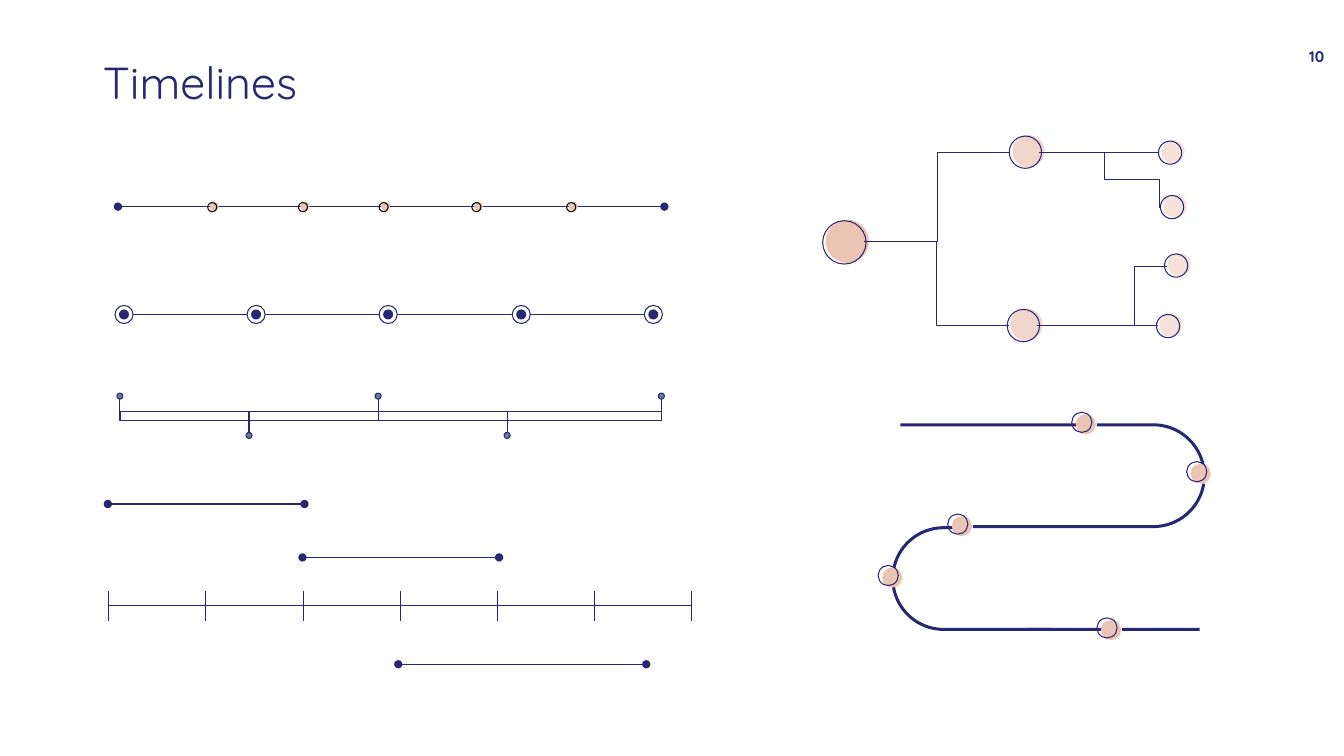
import math
from dataclasses import dataclass

from lxml import etree
from pptx import Presentation
from pptx import util as u
from pptx.dml.color import RGBColor
from pptx.enum import shapes, text
from pptx.oxml.ns import qn

PX = u.Inches(1) // 100  # 100 px to the inch


@dataclass(frozen=True)
class Theme:
    font: str = "Quicksand"
    navy: str = "272774"
    black: str = "000000"
    white: str = "FFFFFF"
    peach: str = "EBC4B4"
    pale_peach: str = "F5E2DA"
    slate: str = "667E92"
    title_size: int = 32
    number_size: int = 11
    line_width: float = 0.75


THEME = Theme()
OVAL = shapes.MSO_SHAPE.OVAL
RECTANGLE = shapes.MSO_SHAPE.RECTANGLE
STRAIGHT = shapes.MSO_CONNECTOR.STRAIGHT
ELBOW = shapes.MSO_CONNECTOR.ELBOW


def px(*lengths):
    return [u.Emu(round(length * PX)) for length in lengths]


def apply_formats(target, formats):
    for name, value in formats.items():
        setattr(target, name, value)


def set_text(shape, words, size, alignment, bold=False, spacing=1.0):
    frame = shape.text_frame
    apply_formats(frame, {"text": words, "word_wrap": True,
                          "vertical_anchor": text.MSO_ANCHOR.MIDDLE})
    paragraph = frame.paragraphs[0]
    apply_formats(paragraph, {"alignment": alignment, "line_spacing": spacing})
    font = paragraph.runs[0].font
    apply_formats(font, {"name": THEME.font, "size": u.Pt(size), "bold": bold})
    font.color.rgb = RGBColor.from_string(THEME.navy)


def paint(shape, fill=None, line=None, opacity=100):
    shape.shadow.inherit = False
    if fill:
        shape.fill.solid()
        shape.fill.fore_color.rgb = RGBColor.from_string(fill)
        if opacity < 100:
            color = shape._element.spPr.find(".//" + qn("a:srgbClr"))
            etree.SubElement(color, qn("a:alpha"), val=str(opacity * 1000))
    else:
        shape.fill.background()
    if line:
        shape.line.color.rgb = RGBColor.from_string(line)
        shape.line.width = u.Pt(THEME.line_width)
    else:
        shape.line.fill.background()


def add_box(slide, kind, left, top, width, height, **colors):
    paint(slide.shapes.add_shape(kind, *px(left, top, width, height)), **colors)


def add_circle(slide, left, top, size, **colors):
    add_box(slide, OVAL, left, top, size, size, **colors)


def add_line(slide, start, end, kind=STRAIGHT, oval_ends=False):
    connector = slide.shapes.add_connector(kind, *px(*start, *end))
    connector.line.color.rgb = RGBColor.from_string(THEME.navy)
    connector.line.width = u.Pt(THEME.line_width)
    properties = connector._element.spPr
    if oval_ends:
        for name in ("a:headEnd", "a:tailEnd"):
            etree.SubElement(properties.find(qn("a:ln")), qn(name), type="oval")
    etree.SubElement(properties, qn("a:effectLst"))
    return connector


def add_offset_dots(slide, rings, size, shift, line):
    """Peach discs, with their rings set a little off from them."""
    for left, top in rings:
        add_circle(slide, left + shift[0], top + shift[1], size, fill=THEME.peach)
    for left, top in rings:
        add_circle(slide, left, top, size, line=line)


def add_bend(slide, center, start, end, lead):
    """A straight lead from x = lead, then an arc between two angles."""
    inner, outer = 49, 52
    steps = 20

    def edge(radius):
        angles = [math.radians(start + (end - start) * i / steps)
                  for i in range(steps + 1)]
        arc = [(center[0] + radius * math.cos(a), center[1] + radius * math.sin(a))
               for a in angles]
        return [(lead, arc[0][1])] + arc

    outline = [px(*point) for point in edge(outer) + edge(inner)[::-1]]
    builder = slide.shapes.build_freeform(*outline[0])
    builder.add_line_segments(outline[1:], close=True)
    paint(builder.convert_to_shape(), fill=THEME.navy)


def add_dotted_timeline(slide):
    add_line(slide, (117, 205), (659, 205), oval_ends=True)
    rings = [(left, 201) for left in (206, 296, 376, 468, 562)]
    add_offset_dots(slide, rings, 9, (2, -1), THEME.black)


def add_target_timeline(slide):
    add_line(slide, (128, 312), (657, 312))
    for i in range(5):
        left = round(114 + 131.25 * i)
        add_circle(slide, left, 303, 18, fill=THEME.white, line=THEME.navy)
        add_circle(slide, left + 4, 307, 10, fill=THEME.navy)


def add_flag_timeline(slide):
    flags = [119, 247, 375, 503, 656]
    for left, right in zip(flags, flags[1:]):
        add_box(slide, RECTANGLE, left, 408, right - left, 9, line=THEME.navy)
    for i, x in enumerate(flags):
        tip, foot, dot = (432, 408, 429) if i % 2 else (393, 417, 390)
        add_line(slide, (x, tip), (x, foot))
        add_circle(slide, x - 3, dot, 6, fill=THEME.slate, line=THEME.navy)


def add_span_timeline(slide):
    for left, right, y in ((107, 302, 500), (300, 495, 553), (395, 641, 659)):
        add_line(slide, (left, y), (right, y), oval_ends=True)
    add_line(slide, (108, 601), (686, 601))
    for i in range(7):
        x = round(108 + 96.33 * i)
        add_line(slide, (x, 586), (x, 616))


def add_tree(slide):
    # left, top, size, fill, opacity
    nodes = [(1151, 194, 23, THEME.pale_peach, 100),
             (1149, 140, 23, THEME.pale_peach, 100),
             (1147, 312, 23, THEME.pale_peach, 100),
             (1155, 252, 23, THEME.pale_peach, 100),
             (816, 219, 43, THEME.peach, 100),
             (1001, 135, 32, THEME.peach, 70),
             (999, 307, 32, THEME.peach, 70)]
    for left, top, size, fill, opacity in nodes:
        add_circle(slide, left + 3, top - 1, size, fill=fill, opacity=opacity)

    # Branches
    for start, end in (((857, 240), (1002, 151)), ((857, 240), (1001, 323)),
                       ((1093, 323), (1157, 264))):
        add_line(slide, start, end, ELBOW)
    for start, end in (((1030, 151), (1150, 151)), ((1029, 323), (1149, 323))):
        add_line(slide, start, end)
    drop = add_line(slide, (1095, 151), (1150, 206), ELBOW)
    apply_turn = drop._element.spPr.find(qn("a:xfrm"))
    for name, value in {"rot": "16200000", "flipH": "1"}.items():
        apply_turn.set(name, value)

    for left, top, size, _, _ in nodes:
        add_circle(slide, left, top, size, line=THEME.navy)


def add_winding_road(slide):
    for left, top, width in ((893, 420, 177), (1018, 623, 77), (1113, 623, 77)):
        add_box(slide, RECTANGLE, left, top, width, 3, fill=THEME.navy)
    right_turn, left_turn = (1144, 472), (936, 574)
    add_bend(slide, right_turn, -90, -12, 1088)
    add_bend(slide, right_turn, 90, 9, 965)
    add_bend(slide, left_turn, 270, 190, 947)
    add_bend(slide, left_turn, 90, 171, 1043)
    stops = [(1063, 409), (1177, 458), (1088, 613), (871, 561), (940, 510)]
    add_offset_dots(slide, stops, 20, (4, 2), THEME.navy)


def main():
    presentation = Presentation()
    presentation.slide_width, presentation.slide_height = px(1333, 750)
    slide = presentation.slides.add_slide(presentation.slide_layouts[5])

    # Title and page number
    title = slide.shapes.title
    names = ("left", "top", "width", "height")
    apply_formats(title, dict(zip(names, px(92, 40, 1138, 88))))
    set_text(title, "Timelines", THEME.title_size, text.PP_ALIGN.LEFT, spacing=0.9)
    number = slide.shapes.add_textbox(*px(1279, 42, 54, 27))
    set_text(number, "10", THEME.number_size, text.PP_ALIGN.CENTER, bold=True)

    # Left column
    add_span_timeline(slide)
    add_dotted_timeline(slide)
    add_flag_timeline(slide)
    add_target_timeline(slide)

    # Right column
    add_tree(slide)
    add_winding_road(slide)

    presentation.save("out.pptx")


if __name__ == "__main__":
    main()
